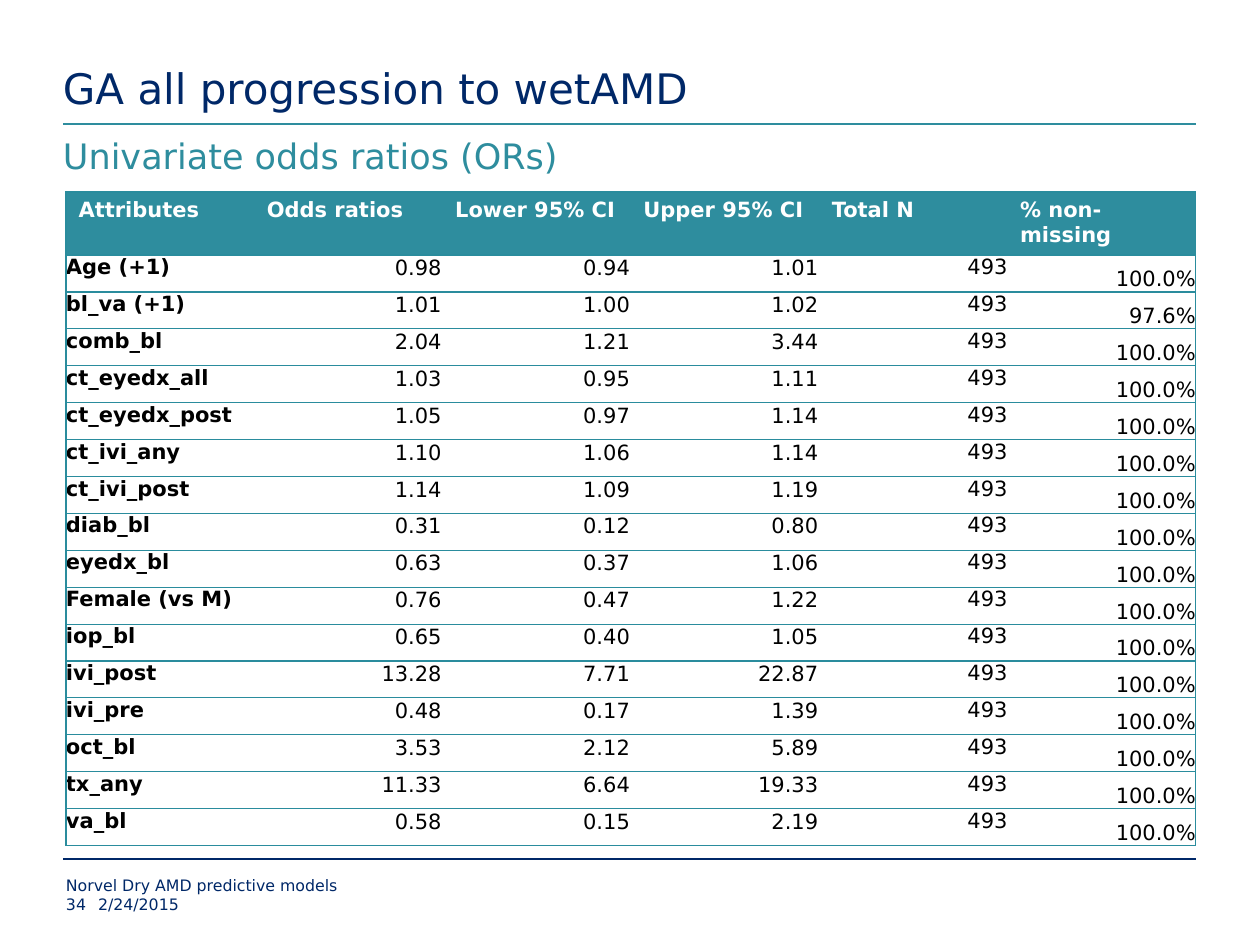
import pptx
import pptx.util
import pptx.dml.color
import pptx.enum.text
import pptx.enum.shapes
import pptx.oxml.ns
import lxml.etree
from dataclasses import dataclass

ANCHOR = pptx.enum.text.MSO_ANCHOR
ALIGN = pptx.enum.text.PP_ALIGN


@dataclass(frozen=True)
class Theme:
    font: str = "DejaVu Sans"
    navy: str = "002868"
    teal: str = "2E8D9E"
    edge: str = "2A8C9D"
    white: str = "FFFFFF"
    black: str = "000000"
    title: int = 24
    sub: int = 20
    cell: int = 12
    foot: int = 9
    rule: float = 1.5
    hair: float = 0.75


THEME = Theme()
SCALE = 914400 / 126
PLAIN = "{2D5ABB26-0587-4C30-8999-92F81FD0307C}"
HEADS = ["Attributes", "Odds ratios", "Lower 95% CI", "Upper 95% CI", "Total N", "% non-missing"]
ODDS = [
    ("Age (+1)", "0.98", "0.94", "1.01"),
    ("bl_va (+1)", "1.01", "1.00", "1.02"),
    ("comb_bl", "2.04", "1.21", "3.44"),
    ("ct_eyedx_all", "1.03", "0.95", "1.11"),
    ("ct_eyedx_post", "1.05", "0.97", "1.14"),
    ("ct_ivi_any", "1.10", "1.06", "1.14"),
    ("ct_ivi_post", "1.14", "1.09", "1.19"),
    ("diab_bl", "0.31", "0.12", "0.80"),
    ("eyedx_bl", "0.63", "0.37", "1.06"),
    ("Female (vs M)", "0.76", "0.47", "1.22"),
    ("iop_bl", "0.65", "0.40", "1.05"),
    ("ivi_post", "13.28", "7.71", "22.87"),
    ("ivi_pre", "0.48", "0.17", "1.39"),
    ("oct_bl", "3.53", "2.12", "5.89"),
    ("tx_any", "11.33", "6.64", "19.33"),
    ("va_bl", "0.58", "0.15", "2.19"),
]
FILLED = {"bl_va (+1)": "97.6%"}


def px(size):
    return pptx.util.Emu(round(size * SCALE))


def rgb(code):
    return pptx.dml.color.RGBColor.from_string(code)


def apply(item, values):
    for name, value in values.items():
        setattr(item, name, value)


def write(frame, text, size, color, bold=False, align=ALIGN.LEFT):
    para = frame.paragraphs[0]
    para.alignment = align
    run = para.add_run()
    run.text = text
    apply(run.font, {"name": THEME.font, "size": pptx.util.Pt(size), "bold": bold})
    run.font.color.rgb = rgb(color)


def label(slide, box, text, size, color, anchor=ANCHOR.TOP):
    frame = slide.shapes.add_textbox(*map(px, box)).text_frame
    apply(frame, {"word_wrap": True, "vertical_anchor": anchor, "margin_left": 0,
                  "margin_right": 0, "margin_top": 0, "margin_bottom": 0})
    write(frame, text, size, color)


def rule(slide, left, top, width, color):
    line = slide.shapes.add_connector(
        pptx.enum.shapes.MSO_CONNECTOR.STRAIGHT,
        px(left), px(top), px(left + width), px(top))
    line.line.color.rgb = rgb(color)
    line.line.width = pptx.util.Pt(THEME.rule)
    lxml.etree.SubElement(line._element.spPr, pptx.oxml.ns.qn("a:effectLst"))


def border(cell, sides):
    props = cell._tc.get_or_add_tcPr()
    for side in sides:
        edge = lxml.etree.SubElement(props, pptx.oxml.ns.qn("a:ln" + side))
        edge.set("w", str(pptx.util.Pt(THEME.hair)))
        fill = lxml.etree.SubElement(edge, pptx.oxml.ns.qn("a:solidFill"))
        lxml.etree.SubElement(fill, pptx.oxml.ns.qn("a:srgbClr")).set("val", THEME.edge)


def heading(slide, box):
    left, top, width, height = box
    label(slide, (left, top, width, 113), "GA all progression to wetAMD",
          THEME.title, THEME.navy, ANCHOR.BOTTOM)
    rule(slide, left, top + 124, width, THEME.teal)
    label(slide, (left, top + 135, width, height - 135), "Univariate odds ratios (ORs)",
          THEME.sub, THEME.teal)


def ratios(slide, box):
    left, top, width, height = box
    rows = [HEADS] + [(*odds, "493", FILLED.get(odds[0], "100.0%")) for odds in ODDS]
    head = 61
    table = slide.shapes.add_table(len(rows), len(HEADS), *map(px, box)).table
    apply(table, {"first_row": False, "horz_banding": False})
    table._tbl.tblPr.find(pptx.oxml.ns.qn("a:tableStyleId")).text = PLAIN
    for col in table.columns:
        col.width = px(width / len(HEADS))
    for i, row in enumerate(rows):
        table.rows[i].height = px((height - head) / len(ODDS) if i else head)
        for j, text in enumerate(row):
            cell = table.cell(i, j)
            border(cell, ("L" if j == 0 else "") + ("R" if j == len(HEADS) - 1 else "") + "TB")
            if i == 0:
                cell.fill.solid()
                cell.fill.fore_color.rgb = rgb(THEME.teal)
                write(cell.text_frame, text, THEME.cell, THEME.white, True)
                continue
            cell.fill.background()
            inset = px(1 if j in (1, 2, 3) else 0)
            apply(cell, {"margin_left": inset, "margin_right": inset, "margin_top": inset,
                         "margin_bottom": 0,
                         "vertical_anchor": ANCHOR.BOTTOM if j == 5 else ANCHOR.TOP})
            write(cell.text_frame, text, THEME.cell, THEME.black, j == 0,
                  ALIGN.RIGHT if j else ALIGN.LEFT)


def footer(slide, box):
    left, top, width, height = box
    rule(slide, left, top, width, THEME.navy)
    notes = [(3, 17, 945, "Norvel Dry AMD predictive models"),
             (3, 36, 32, "34"), (35, 36, 914, "2/24/2015")]
    for x, y, wide, text in notes:
        label(slide, (left + x, top + y, wide, 19), text, THEME.foot, THEME.navy)


def main():
    deck = pptx.Presentation()
    apply(deck, {"slide_width": px(1260), "slide_height": px(945)})
    slide = deck.slides.add_slide(deck.slide_layouts[6])
    heading(slide, (63, 0, 1133, 197))
    ratios(slide, (66, 192, 1130, 652))
    footer(slide, (63, 859, 1133, 55))
    deck.save("out.pptx")


main()
